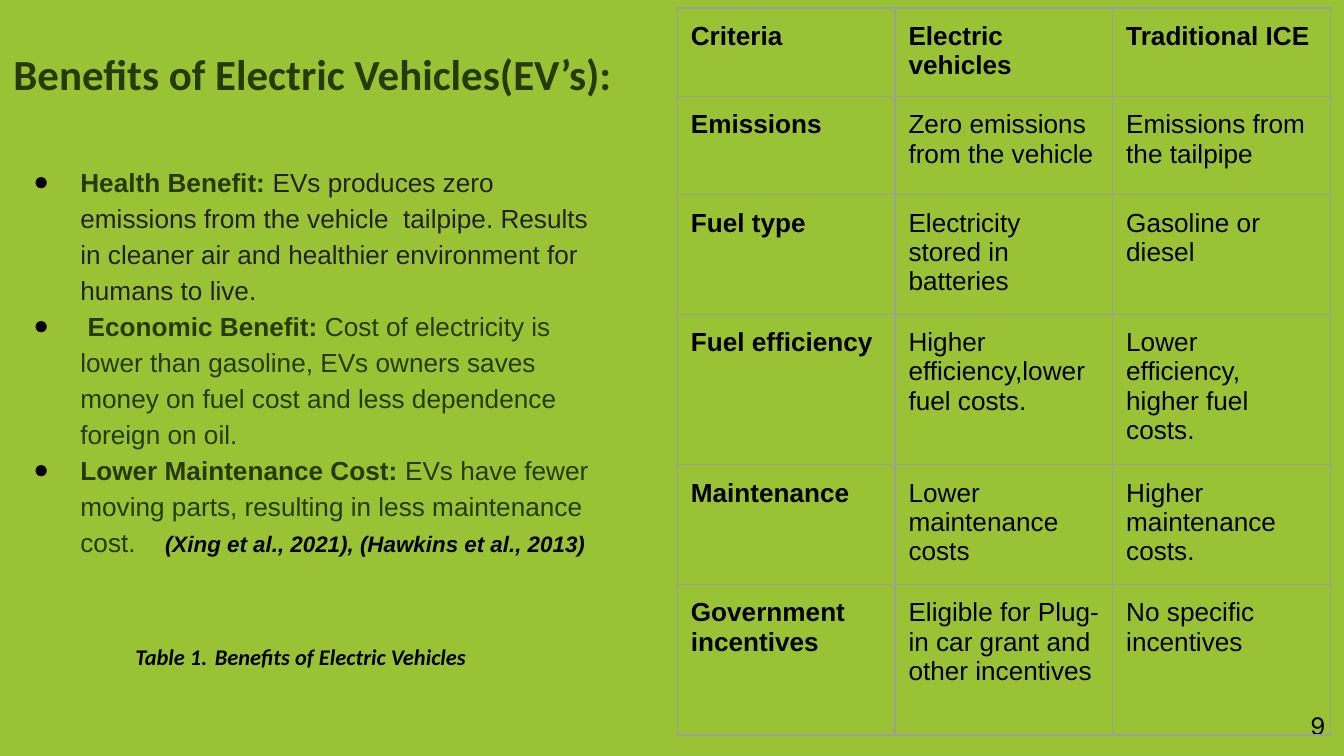
from dataclasses import dataclass
from typing import NamedTuple, Optional

from lxml import etree
from pptx import Presentation
from pptx.dml.color import RGBColor
from pptx.enum.text import MSO_ANCHOR, MSO_AUTO_SIZE, PP_ALIGN
from pptx.oxml.ns import qn
from pptx.util import Inches, Pt

TOP = MSO_ANCHOR.TOP
NO_AUTOFIT = MSO_AUTO_SIZE.NONE
LEFT = PP_ALIGN.LEFT
RIGHT = PP_ALIGN.RIGHT
TITLE_ONLY = 5
SLIDE_WIDTH = 10
SLIDE_HEIGHT = SLIDE_WIDTH * 9 / 16


@dataclass(frozen=True)
class Theme:
    background: str = "9AC235"
    dark_green: str = "253A04"
    charcoal: str = "222222"
    black: str = "000000"
    border: str = "9E9E9E"
    body_font: str = "Arial"
    heading_font: str = "Calibri"
    number_font: str = "Inter"
    title_size: float = 23
    body_size: float = 14
    number_size: float = 13
    note_size: float = 12
    border_width: float = 0.75
    inset: float = 0.1


class Benefit(NamedTuple):
    label: str
    detail: str
    detail_color: str
    citation: Optional[str] = None


THEME = Theme()

BENEFITS = [
    Benefit("Health Benefit: ",
            "EVs produces zero emissions from the vehicle  tailpipe. Results in "
            "cleaner air and healthier environment for humans to live.",
            THEME.charcoal),
    Benefit(" Economic Benefit: ",
            "Cost of electricity is lower than gasoline, EVs owners saves money on "
            "fuel cost and less dependence foreign on oil.",
            THEME.dark_green),
    Benefit("Lower Maintenance Cost: ",
            "EVs have fewer moving parts, resulting in less maintenance cost.",
            THEME.dark_green,
            "(Xing et al., 2021), (Hawkins et al., 2013)"),
]

COMPARISON = [
    ("Criteria", "Electric vehicles", "Traditional ICE"),
    ("Emissions", "Zero emissions from the vehicle", "Emissions from the tailpipe"),
    ("Fuel type", "Electricity stored in batteries", "Gasoline or diesel"),
    ("Fuel efficiency", "Higher efficiency,lower fuel costs.",
     "Lower efficiency, higher fuel costs."),
    ("Maintenance", "Lower maintenance costs", "Higher maintenance costs."),
    ("Government incentives", "Eligible for Plug-in car grant and other incentives",
     "No specific incentives"),
]
COLUMN_WIDTH = 1.62
ROW_HEIGHTS = [0.66, 0.73, 0.89, 1.12, 0.89, 1.12]


def add_span(para, text: str, *, size: float = THEME.body_size,
             font: str = THEME.body_font, color: str = THEME.black,
             bold: bool = False, italic: bool = False) -> None:
    span = para.add_run()
    span.text = text
    span.font.size = Pt(size)
    span.font.name = font
    span.font.color.rgb = RGBColor.from_string(color)
    span.font.bold = bold
    span.font.italic = italic


def set_margins(target) -> None:
    target.margin_left = target.margin_right = Inches(THEME.inset)
    target.margin_top = target.margin_bottom = Inches(THEME.inset)


def prepare_frame(box):
    frame = box.text_frame
    frame.word_wrap = True
    frame.auto_size = NO_AUTOFIT
    frame.vertical_anchor = TOP
    set_margins(frame)
    return frame


def add_box(slide, left: float, top: float, width: float, height: float):
    return prepare_frame(slide.shapes.add_textbox(
        Inches(left), Inches(top), Inches(width), Inches(height)))


def set_indent(para, left: float, first: float) -> None:
    properties = para._p.get_or_add_pPr()
    properties.set("marL", str(Inches(left)))
    properties.set("indent", str(Inches(first)))


def add_bullet(para) -> None:
    properties = para._p.get_or_add_pPr()
    color = etree.SubElement(properties, qn("a:buClr"))
    etree.SubElement(color, qn("a:srgbClr"), val=THEME.black)
    etree.SubElement(properties, qn("a:buFont"), typeface=THEME.body_font)
    etree.SubElement(properties, qn("a:buChar"), char="●")


def add_tab_stop(para, position: float) -> None:
    tabs = etree.SubElement(para._p.get_or_add_pPr(), qn("a:tabLst"))
    etree.SubElement(tabs, qn("a:tab"), pos=str(Inches(position)), algn="l")


def set_borders(cell) -> None:
    properties = cell._tc.get_or_add_tcPr()
    for index, side in enumerate(("a:lnL", "a:lnR", "a:lnT", "a:lnB")):
        line = etree.Element(qn(side), w=str(Pt(THEME.border_width)))
        fill = etree.SubElement(line, qn("a:solidFill"))
        etree.SubElement(fill, qn("a:srgbClr"), val=THEME.border)
        properties.insert(index, line)


def draw_title(slide) -> None:
    title = slide.shapes.title
    title.left, title.top = Inches(0), Inches(0.08)
    title.width, title.height = Inches(7), Inches(0.59)
    para = prepare_frame(title).paragraphs[0]
    para.alignment = LEFT
    para.line_spacing = 1.45
    para.space_after = Pt(14)
    add_span(para, "Benefits of Electric Vehicles(EV’s):", size=THEME.title_size,
             font=THEME.heading_font, color=THEME.dark_green, bold=True)


def draw_benefits(slide) -> None:
    frame = add_box(slide, 0, 1.1, 4.63, 3.99)
    for index, benefit in enumerate(BENEFITS):
        para = frame.add_paragraph() if index else frame.paragraphs[0]
        para.line_spacing = 1.15
        set_indent(para, 0.5, -0.35)
        add_bullet(para)
        add_span(para, benefit.label, color=THEME.dark_green, bold=True)
        add_span(para, benefit.detail, color=benefit.detail_color)
        if benefit.citation:
            add_tab_stop(para, 1.13)
            add_span(para, "\t" + benefit.citation, size=THEME.note_size,
                     bold=True, italic=True)

    caption = frame.add_paragraph()
    caption.line_spacing = 1.15
    caption.space_before = Pt(43.5)
    set_indent(caption, 0, 0.91)
    add_tab_stop(caption, 1.56)
    add_span(caption, "Table 1.\tBenefits of Electric Vehicles", size=THEME.note_size,
             font=THEME.heading_font, bold=True, italic=True)


def draw_comparison(slide) -> None:
    columns = len(COMPARISON[0])
    table = slide.shapes.add_table(
        len(COMPARISON), columns, Inches(5.04), Inches(0.06),
        Inches(columns * COLUMN_WIDTH), Inches(sum(ROW_HEIGHTS))).table
    table.first_row = False
    table.horz_banding = False
    for column in table.columns:
        column.width = Inches(COLUMN_WIDTH)
    for row_index, (texts, height) in enumerate(zip(COMPARISON, ROW_HEIGHTS)):
        table.rows[row_index].height = Inches(height)
        for column_index, text in enumerate(texts):
            cell = table.cell(row_index, column_index)
            cell.fill.background()
            set_margins(cell)
            set_borders(cell)
            add_span(cell.text_frame.paragraphs[0], text,
                     bold=row_index == 0 or column_index == 0)


def draw_page_number(slide) -> None:
    para = add_box(slide, 9.36, 5.19, 0.6, 0.43).paragraphs[0]
    para.alignment = RIGHT
    add_span(para, "9", size=THEME.number_size, font=THEME.number_font)


def main() -> None:
    deck = Presentation()
    deck.slide_width, deck.slide_height = Inches(SLIDE_WIDTH), Inches(SLIDE_HEIGHT)
    page = deck.slides.add_slide(deck.slide_layouts[TITLE_ONLY])
    page.background.fill.solid()
    page.background.fill.fore_color.rgb = RGBColor.from_string(THEME.background)
    draw_page_number(page)
    draw_comparison(page)
    draw_title(page)
    draw_benefits(page)
    deck.save("out.pptx")


if __name__ == "__main__":
    main()
